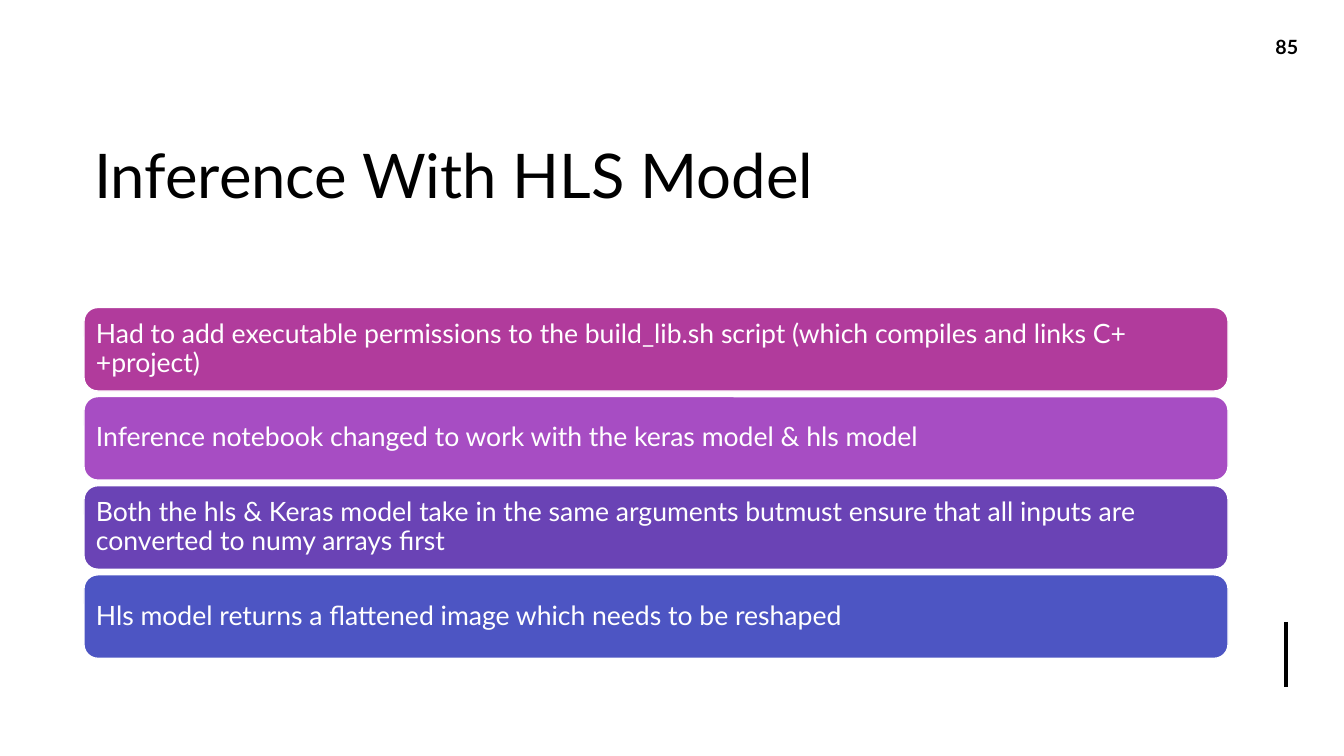
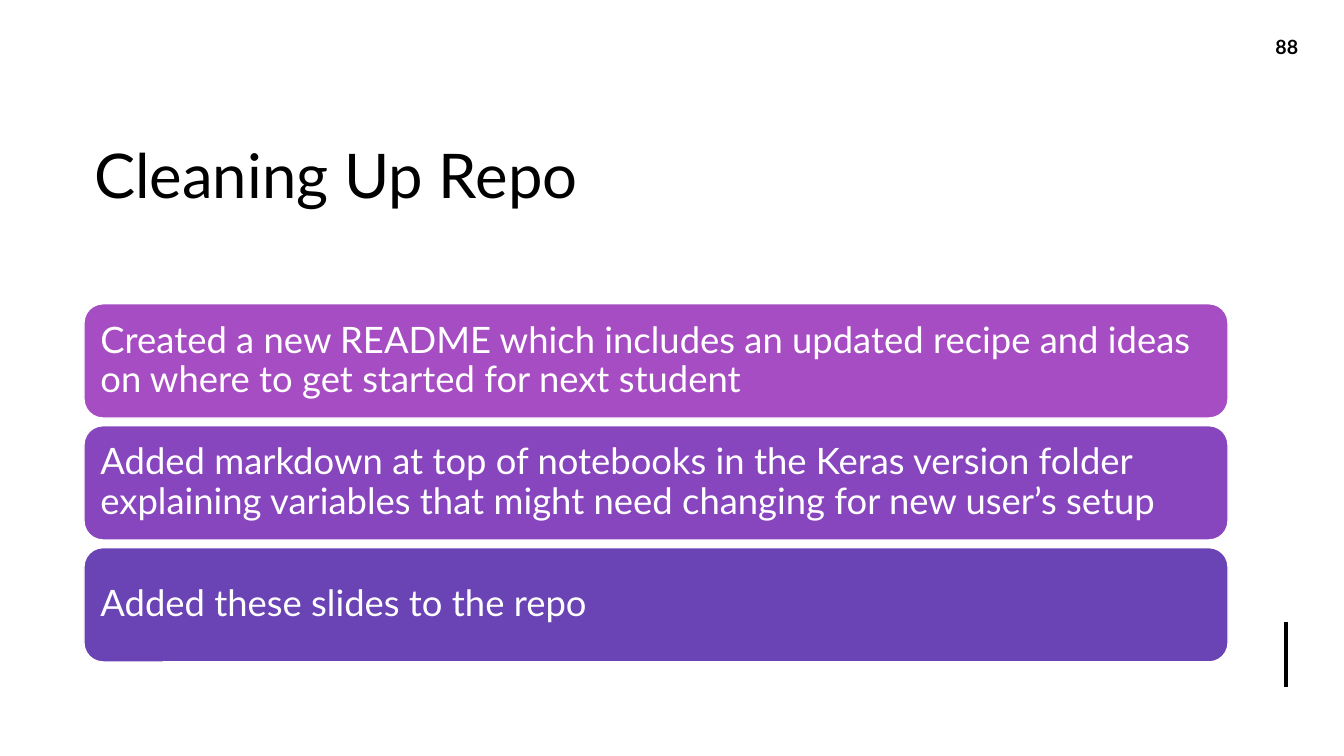
from lxml.etree import SubElement
from pptx import Presentation
from pptx.dml.color import RGBColor
from pptx.enum.shapes import MSO_CONNECTOR as LINE, MSO_SHAPE as SHAPE
from pptx.enum.text import MSO_ANCHOR as ANCHOR, MSO_AUTO_SIZE as FIT, PP_ALIGN as ALIGN
from pptx.oxml.ns import qn
from pptx.util import Inches, Pt

COLS, ROWS = 16, 8
LEFT, WIDTH, MIDDLE = 1, 13.62, 5.11
BLACK, WHITE = "000000", "FFFFFF"
MAGENTA, ORCHID, PURPLE, VIOLET, INDIGO = "B13B9C", "A74DC3", "8846BE", "6A43B5", "4D55C3"


def color(value):
    return RGBColor.from_string(value)


class Deck:
    """Holds the shared style and the current slide on a 16 by 8 grid."""

    def __init__(self):
        self.prs = Presentation()
        self.prs.slide_width, self.prs.slide_height = Inches(13.33), Inches(7.5)
        self.s = None

    def x(self, cols):
        return round(self.prs.slide_width * cols / COLS)

    def y(self, rows):
        return round(self.prs.slide_height * rows / ROWS)

    def box(self, left, top, width, height):
        return self.x(left), self.y(top), self.x(width), self.y(height)

    def label(self, sp, text, size, fill, align=ALIGN.LEFT, bold=False):
        tf = sp.text_frame
        tf.text = text
        tf.word_wrap, tf.auto_size = True, FIT.NONE
        tf.vertical_anchor = ANCHOR.MIDDLE
        p = tf.paragraphs[0]
        p.alignment = align
        p.font.name, p.font.size, p.font.bold = "Lato", Pt(size), bold
        p.font.color.rgb = color(fill)
        return tf

    def slide(self, title, number):
        self.s = self.prs.slides.add_slide(self.prs.slide_layouts[5])
        self.title(title)
        self.rule()
        self.number(number)

    def title(self, text):
        sp = self.s.shapes.title
        sp.left, sp.top, sp.width, sp.height = self.box(LEFT, 1, WIDTH, 1.67)
        self.label(sp, text, 44, BLACK)

    def rule(self):
        x = self.x(15.31)
        line = self.s.shapes.add_connector(LINE.STRAIGHT, x, self.y(6.58), x, self.y(7.27))
        line.line.color.rgb, line.line.width = color(BLACK), Pt(3)
        SubElement(line._element.spPr, qn("a:effectLst"))

    def number(self, value):
        sp = self.s.shapes.add_textbox(*self.box(14.82, 0.28, 1, 0.43))
        self.label(sp, str(value), 14, BLACK, ALIGN.CENTER, True)

    def cards(self, size, items):
        height, gap = Pt(size * 3.14), Pt(size * 0.21)
        total = len(items) * (height + gap) - gap
        top = self.y(MIDDLE) - total // 2
        for i, (fill, text) in enumerate(items):
            self.card(top + i * (height + gap), height, size, fill, text)

    def card(self, top, height, size, fill, text):
        sp = self.s.shapes.add_shape(SHAPE.ROUNDED_RECTANGLE, self.x(LEFT), top, self.x(WIDTH), height)
        sp.shadow.inherit = False
        sp.fill.solid()
        sp.fill.fore_color.rgb = color(fill)
        sp.line.color.rgb, sp.line.width = color(WHITE), Pt(1)
        tf = self.label(sp, text, size, WHITE)
        tf.margin_left = tf.margin_right = tf.margin_top = tf.margin_bottom = Pt(size * 0.3)
        tf.paragraphs[0].line_spacing = 0.9


def main():
    deck = Deck()
    deck.slide("Inference With HLS Model", 85)
    deck.cards(19, [
        (MAGENTA, "Had to add executable permissions to the build_lib.sh script "
                  "(which compiles and links C++project)"),
        (ORCHID, "Inference notebook changed to work with the keras model & hls model"),
        (VIOLET, "Both the hls & Keras model take in the same arguments butmust ensure "
                 "that all inputs are converted to numy arrays first"),
        (INDIGO, "Hls model returns a flattened image which needs to be reshaped"),
    ])
    deck.slide("Cleaning Up Repo", 88)
    deck.cards(26, [
        (ORCHID, "Created a new README which includes an updated recipe and ideas "
                 "on where to get started for next student"),
        (PURPLE, "Added markdown at top of notebooks in the Keras version folder "
                 "explaining variables that might need changing for new user’s setup"),
        (VIOLET, "Added these slides to the repo"),
    ])
    deck.prs.save("out.pptx")


if __name__ == "__main__":
    main()
